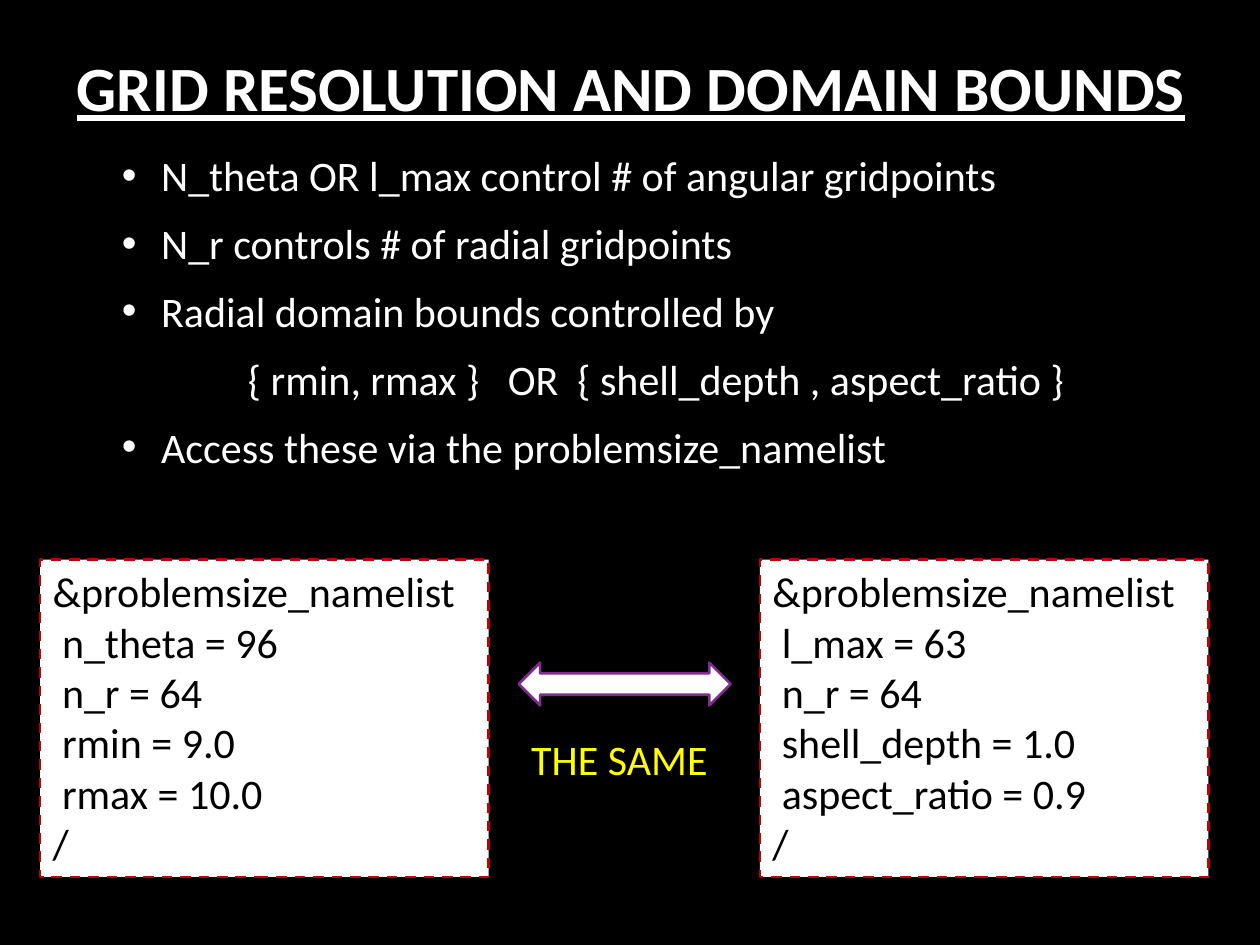
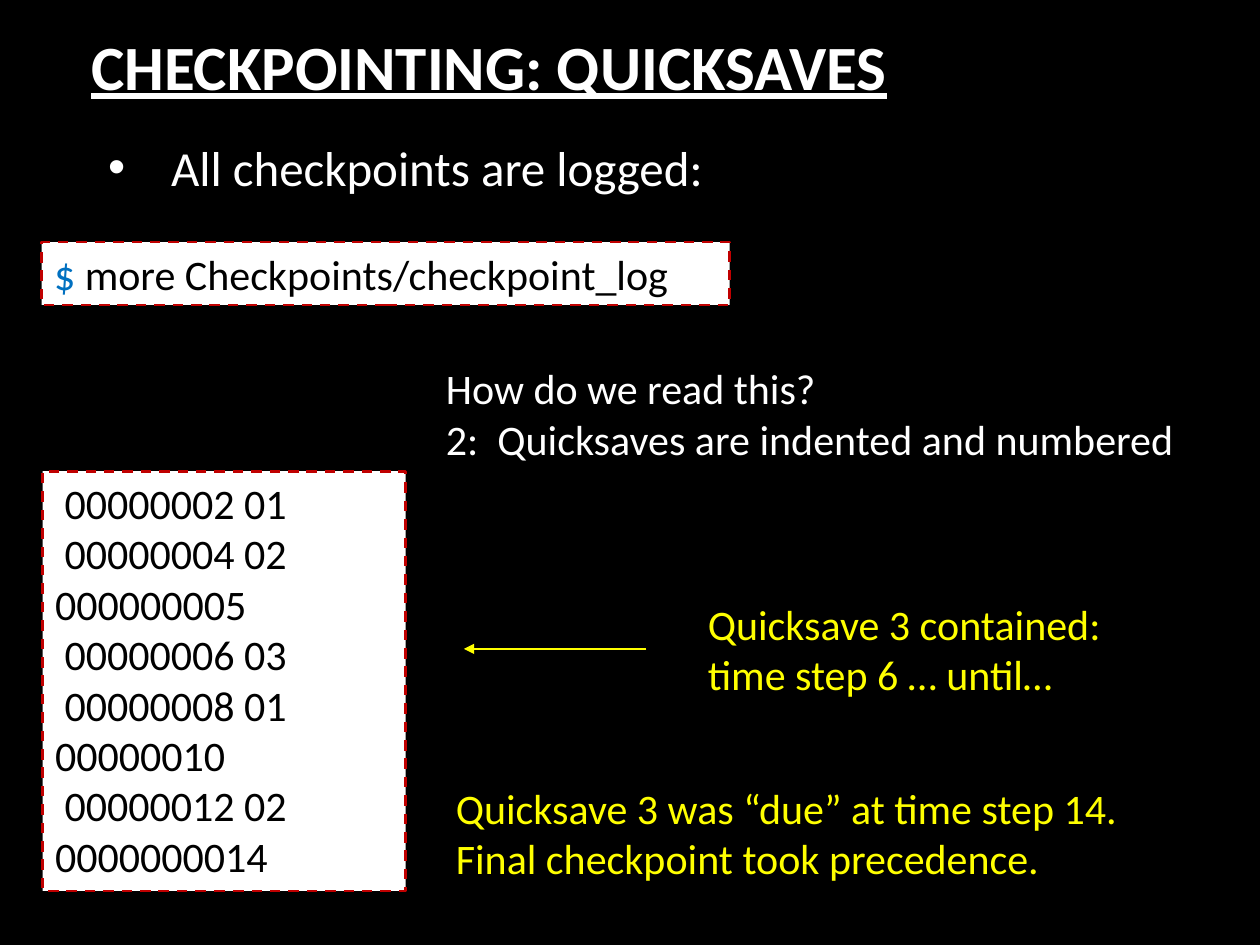
from dataclasses import dataclass

import pptx
import pptx.dml.color
import pptx.enum.dml
import pptx.enum.shapes
import pptx.enum.text
import pptx.oxml.ns
import pptx.presentation
import pptx.shapes.autoshape
import pptx.slide
import pptx.text.text
import pptx.util
from lxml import etree
from pptx.dml.color import RGBColor
from pptx.enum.shapes import MSO_CONNECTOR, MSO_SHAPE
from pptx.enum.text import MSO_ANCHOR, MSO_AUTO_SIZE, PP_ALIGN
from pptx.util import Cm, Pt


@dataclass(frozen=True)
class Theme:
    font: str = "Calibri"
    black: RGBColor = RGBColor(0x00, 0x00, 0x00)
    white: RGBColor = RGBColor(0xFF, 0xFF, 0xFF)
    yellow: RGBColor = RGBColor(0xFF, 0xFF, 0x00)
    red: RGBColor = RGBColor(0xC0, 0x00, 0x00)
    purple: RGBColor = RGBColor(0x7F, 0x2E, 0x8F)
    blue: RGBColor = RGBColor(0x00, 0x70, 0xC0)
    title_size: int = 36
    lead_size: int = 28
    text_size: int = 24
    line_width: float = 1.5


THEME = Theme()


@dataclass(frozen=True)
class Box:
    """Left, top, width and height in centimetres."""
    left: float
    top: float
    width: float
    height: float

    def lengths(self) -> tuple[Cm, Cm, Cm, Cm]:
        return Cm(self.left), Cm(self.top), Cm(self.width), Cm(self.height)


@dataclass(frozen=True)
class Panel:
    """A white code panel; a prompt, if any, is coloured ahead of the first line."""
    box: Box
    lines: tuple[str, ...]
    prompt: str = ""


@dataclass(frozen=True)
class Note:
    box: Box
    lines: tuple[str, ...]
    color: RGBColor = THEME.yellow


@dataclass(frozen=True)
class Item:
    text: str
    bulleted: bool = True


PANEL_TOP, PANEL_WIDTH, PANEL_HEIGHT = 11.28, 9.04, 6.4
NAMELISTS = (
    Panel(Box(0.81, PANEL_TOP, PANEL_WIDTH, PANEL_HEIGHT),
          ("&problemsize_namelist", " n_theta = 96", " n_r = 64",
           " rmin = 9.0", " rmax = 10.0", "/")),
    Panel(Box(15.32, PANEL_TOP, PANEL_WIDTH, PANEL_HEIGHT),
          ("&problemsize_namelist", " l_max = 63", " n_r = 64",
           " shell_depth = 1.0", " aspect_ratio = 0.9", "/")),
)
GRID_ITEMS = (
    Item("N_theta OR l_max control # of angular gridpoints"),
    Item("N_r controls # of radial gridpoints"),
    Item("Radial domain bounds controlled by"),
    Item("{ rmin, rmax }   OR  { shell_depth , aspect_ratio }", bulleted=False),
    Item("Access these via the problemsize_namelist"),
)
CHECKPOINT_PANELS = (
    Panel(Box(0.84, 4.88, 13.87, 1.27), (" more Checkpoints/checkpoint_log",), "$"),
    Panel(Box(0.86, 9.5, 7.32, 8.46),
          (" 00000002 01", " 00000004 02", "000000005", " 00000006 03",
           " 00000008 01", "00000010", " 00000012 02", "0000000014")),
)
CHECKPOINT_NOTES = (
    Note(Box(8.74, 7.19, 15.32, 2.31),
         ("How do we read this?", "2:  Quicksaves are indented and numbered"), THEME.white),
    Note(Box(14.02, 11.94, 8.51, 2.31),
         ("Quicksave 3 contained:", "time step 6 … until…")),
    Note(Box(8.94, 15.65, 13.94, 2.31),
         ("Quicksave 3 was “due” at time step 14.", "Final checkpoint took precedence.")),
)


def add_slide(presentation: pptx.presentation.Presentation) -> pptx.slide.Slide:
    slide = presentation.slides.add_slide(presentation.slide_layouts[6])
    slide.background.fill.solid()
    slide.background.fill.fore_color.rgb = THEME.black
    return slide


def set_font(paragraph: pptx.text.text._Paragraph, color: RGBColor,
             size: int = THEME.text_size) -> None:
    paragraph.font.name = THEME.font
    paragraph.font.size = Pt(size)
    paragraph.font.color.rgb = color


def write_lines(frame: pptx.text.text.TextFrame, lines: tuple[str, ...], color: RGBColor,
                size: int = THEME.text_size) -> None:
    frame.text = "\n".join(lines)
    for paragraph in frame.paragraphs:
        paragraph.alignment = PP_ALIGN.LEFT
        set_font(paragraph, color, size)


def set_indent(paragraph: pptx.text.text._Paragraph, margin: float, bulleted: bool) -> None:
    """Indent by a margin in centimetres; a bullet hangs in that margin."""
    properties = paragraph._p.get_or_add_pPr()
    properties.set("marL", str(Cm(margin)))
    properties.set("indent", str(-Cm(margin) if bulleted else 0))
    if bulleted:
        font = etree.SubElement(properties, pptx.oxml.ns.qn("a:buFont"))
        font.set("typeface", "Arial")
        bullet = etree.SubElement(properties, pptx.oxml.ns.qn("a:buChar"))
        bullet.set("char", "•")


def add_title(slide: pptx.slide.Slide, box: Box, text: str,
              alignment: PP_ALIGN = PP_ALIGN.LEFT) -> None:
    frame = slide.shapes.add_textbox(*box.lengths()).text_frame
    frame.word_wrap = True
    frame.vertical_anchor = MSO_ANCHOR.MIDDLE
    write_lines(frame, (text,), THEME.white, THEME.title_size)
    paragraph = frame.paragraphs[0]
    paragraph.alignment = alignment
    paragraph.font.bold = True
    paragraph.font.underline = True


def add_grid_items(slide: pptx.slide.Slide, box: Box) -> None:
    frame = slide.shapes.add_textbox(*box.lengths()).text_frame
    frame.word_wrap = True
    frame.vertical_anchor = MSO_ANCHOR.MIDDLE
    frame.text = "\n".join(item.text for item in GRID_ITEMS)
    for paragraph, item in zip(frame.paragraphs, GRID_ITEMS):
        set_indent(paragraph, 0.79 if item.bulleted else 2.54, item.bulleted)
        paragraph.space_after = Pt(10)
        set_font(paragraph, THEME.white)


def add_lead(slide: pptx.slide.Slide, box: Box, text: str) -> None:
    frame = slide.shapes.add_textbox(*box.lengths()).text_frame
    frame.word_wrap = True
    frame.margin_left = frame.margin_top = frame.margin_right = frame.margin_bottom = 0
    frame.text = text
    set_indent(frame.paragraphs[0], 1.27, bulleted=True)
    set_font(frame.paragraphs[0], THEME.white, THEME.lead_size)


def add_white_shape(slide: pptx.slide.Slide, preset: MSO_SHAPE, box: Box,
                    line_color: RGBColor) -> pptx.shapes.autoshape.Shape:
    shape = slide.shapes.add_shape(preset, *box.lengths())
    shape.shadow.inherit = False
    shape.fill.solid()
    shape.fill.fore_color.rgb = THEME.white
    shape.line.color.rgb = line_color
    shape.line.width = Pt(THEME.line_width)
    return shape


def add_panel(slide: pptx.slide.Slide, panel: Panel) -> None:
    shape = add_white_shape(slide, MSO_SHAPE.RECTANGLE, panel.box, THEME.red)
    shape.line.dash_style = pptx.enum.dml.MSO_LINE.DASH
    frame = shape.text_frame
    frame.word_wrap = True
    frame.vertical_anchor = MSO_ANCHOR.TOP
    write_lines(frame, panel.lines, THEME.black)
    if panel.prompt:
        paragraph = frame.paragraphs[0]
        command = paragraph.runs[0]
        command.text = panel.prompt
        command.font.color.rgb = THEME.blue
        paragraph.add_run().text = panel.lines[0]


def add_note(slide: pptx.slide.Slide, note: Note) -> None:
    frame = slide.shapes.add_textbox(*note.box.lengths()).text_frame
    frame.word_wrap = False
    frame.auto_size = MSO_AUTO_SIZE.SHAPE_TO_FIT_TEXT
    write_lines(frame, note.lines, note.color)


def add_arrow(slide: pptx.slide.Slide, start: float, end: float, height: float) -> None:
    """Draw a level arrow pointing at its end."""
    connector = slide.shapes.add_connector(
        MSO_CONNECTOR.STRAIGHT, Cm(start), Cm(height), Cm(end), Cm(height))
    connector.line.color.rgb = THEME.yellow
    connector.line.width = Pt(THEME.line_width)
    line = connector.line._get_or_add_ln()
    etree.SubElement(line, pptx.oxml.ns.qn("a:tailEnd")).set("type", "triangle")
    etree.SubElement(connector._element.spPr, pptx.oxml.ns.qn("a:effectLst"))


def build_grid_slide(presentation: pptx.presentation.Presentation) -> None:
    slide = add_slide(presentation)
    add_title(slide, Box(1.3, -0.28, 24.1, 4.04), "GRID RESOLUTION AND DOMAIN BOUNDS")
    add_grid_items(slide, Box(2.21, 3.53, 21.59, 5.46))
    for panel in NAMELISTS:
        add_panel(slide, panel)
    add_white_shape(slide, MSO_SHAPE.LEFT_RIGHT_ARROW, Box(10.46, 13.36, 4.27, 0.86),
                    THEME.purple)
    add_note(slide, Note(Box(10.46, 14.66, 4.11, 1.27), ("THE SAME",)))


def build_checkpoint_slide(presentation: pptx.presentation.Presentation) -> None:
    slide = add_slide(presentation)
    add_title(slide, Box(-0.91, -0.71, 21.54, 4.04), "CHECKPOINTING: QUICKSAVES",
              PP_ALIGN.CENTER)
    add_lead(slide, Box(2.18, 2.77, 23.2, 2.39), "All checkpoints are logged:")
    for panel in CHECKPOINT_PANELS:
        add_panel(slide, panel)
    for note in CHECKPOINT_NOTES:
        add_note(slide, note)
    add_arrow(slide, 13.03, 9.35, 13.08)


def main() -> None:
    presentation = pptx.Presentation()
    presentation.slide_width = Cm(25.4)
    presentation.slide_height = Cm(19.05)
    build_grid_slide(presentation)
    build_checkpoint_slide(presentation)
    presentation.save("out.pptx")


if __name__ == "__main__":
    main()
